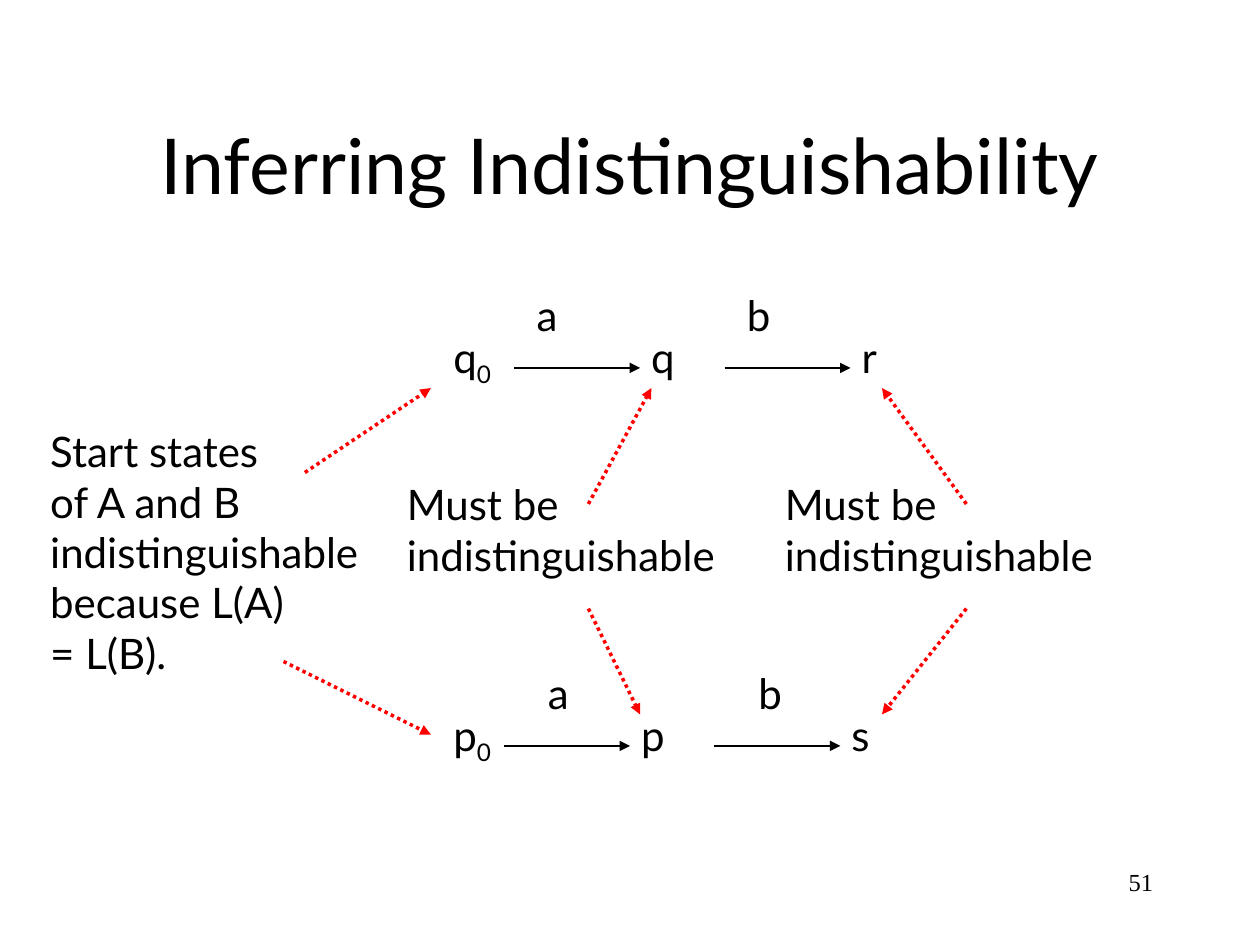
import pptx
import pptx.util
import pptx.dml.color
import pptx.enum.dml
import pptx.enum.shapes
import pptx.enum.text
import pptx.oxml.ns
import lxml.etree

Inches = pptx.util.Inches
Pt = pptx.util.Pt
PP_ALIGN = pptx.enum.text.PP_ALIGN
MSO_ANCHOR = pptx.enum.text.MSO_ANCHOR


def color(value):
    return pptx.dml.color.RGBColor.from_string(value)


class Deck:
    font = "Lato"
    size = 24
    ink = "000000"
    accent = "FF0000"

    def __init__(self, prs):
        self.s = prs.slides.add_slide(prs.slide_layouts[6])

    def text(self, x, y, w, h, lines, size=None, font=None,
             align=PP_ALIGN.LEFT, anchor=MSO_ANCHOR.TOP, wrap=False):
        sp = self.s.shapes.add_textbox(Inches(x), Inches(y), Inches(w), Inches(h))
        tf = sp.text_frame
        tf.word_wrap = wrap
        tf.vertical_anchor = anchor
        for i, line in enumerate(lines):
            p = tf.paragraphs[0] if i == 0 else tf.add_paragraph()
            p.alignment = align
            self.run(p, line, size, font)
        return tf

    def run(self, p, text, size=None, font=None):
        r = p.add_run()
        r.text = text
        r.font.size = Pt(size or self.size)
        r.font.name = font or self.font
        r.font.color.rgb = color(self.ink)
        return r

    def note(self, x, y, w, lines):
        self.text(x, y, w, 0.1 + 0.4 * len(lines), lines)

    def start_state(self, x, y, name):
        tf = self.text(x, y, 0.51, 0.56, [name])
        r = self.run(tf.paragraphs[0], "0")
        r.font._element.set("baseline", "-25000")

    def arrow(self, x1, y1, x2, y2, dotted=False):
        c = self.s.shapes.add_connector(
            pptx.enum.shapes.MSO_CONNECTOR.STRAIGHT,
            Inches(x1), Inches(y1), Inches(x2), Inches(y2))
        c.line.color.rgb = color(self.accent if dotted else self.ink)
        c.line.width = Pt(2 if dotted else 0.75)
        if dotted:
            c.line.dash_style = pptx.enum.dml.MSO_LINE.ROUND_DOT
        qn = pptx.oxml.ns.qn
        ln = c.line._get_or_add_ln()
        lxml.etree.SubElement(ln, qn("a:tailEnd"), type="triangle")
        lxml.etree.SubElement(c._element.spPr, qn("a:effectLst"))


def main():
    prs = pptx.Presentation()
    prs.slide_width = Inches(10)
    prs.slide_height = Inches(7.5)
    deck = Deck(prs)

    deck.text(0.75, 0.67, 8.5, 1.25, ["Inferring Indistinguishability"], size=44,
              align=PP_ALIGN.CENTER, anchor=MSO_ANCHOR.MIDDLE, wrap=True)
    deck.text(7.17, 6.83, 2.08, 0.5, ["51"], size=14, font="Times New Roman",
              align=PP_ALIGN.RIGHT, wrap=True)

    deck.note(0.3, 3.33, 2.88, ["Start states", "of A and B", "indistinguishable",
                                "because L(A)", "= L(B)."])
    deck.arrow(2.42, 3.75, 3.42, 3.08, dotted=True)
    deck.arrow(2.25, 5.25, 3.42, 5.83, dotted=True)

    chains = [
        ("q", 2.58, 4.16, 4.08, 5.07, [("a", 0.38, "q", 0.4), ("b", 0.4, "r", 0.34)]),
        ("p", 5.58, 4.25, 4.0, 4.99, [("a", 0.38, "p", 0.4), ("b", 0.4, "s", 0.36)]),
    ]
    step = 1.67
    for start, y, label_x, arrow_x, state_x, moves in chains:
        deck.start_state(3.5, y, start)
        for i, (label, label_w, state, state_w) in enumerate(moves):
            dx = i * step
            deck.text(label_x + dx, y - 0.33, label_w, 0.5, [label])
            deck.arrow(arrow_x + dx, y + 0.34, arrow_x + dx + 1, y + 0.34)
            deck.text(state_x + dx, y, state_w, 0.5, [state])

    for x, upper_x, lower_x in [(3.13, 5.17, 5.08), (6.13, 7, 7)]:
        deck.note(x, 3.75, 2.88, ["Must be", "indistinguishable"])
        deck.arrow(x + 1.54, 4, upper_x, 3.08, dotted=True)
        deck.arrow(x + 1.54, 4.83, lower_x, 5.67, dotted=True)

    prs.save("out.pptx")


if __name__ == "__main__":
    main()
